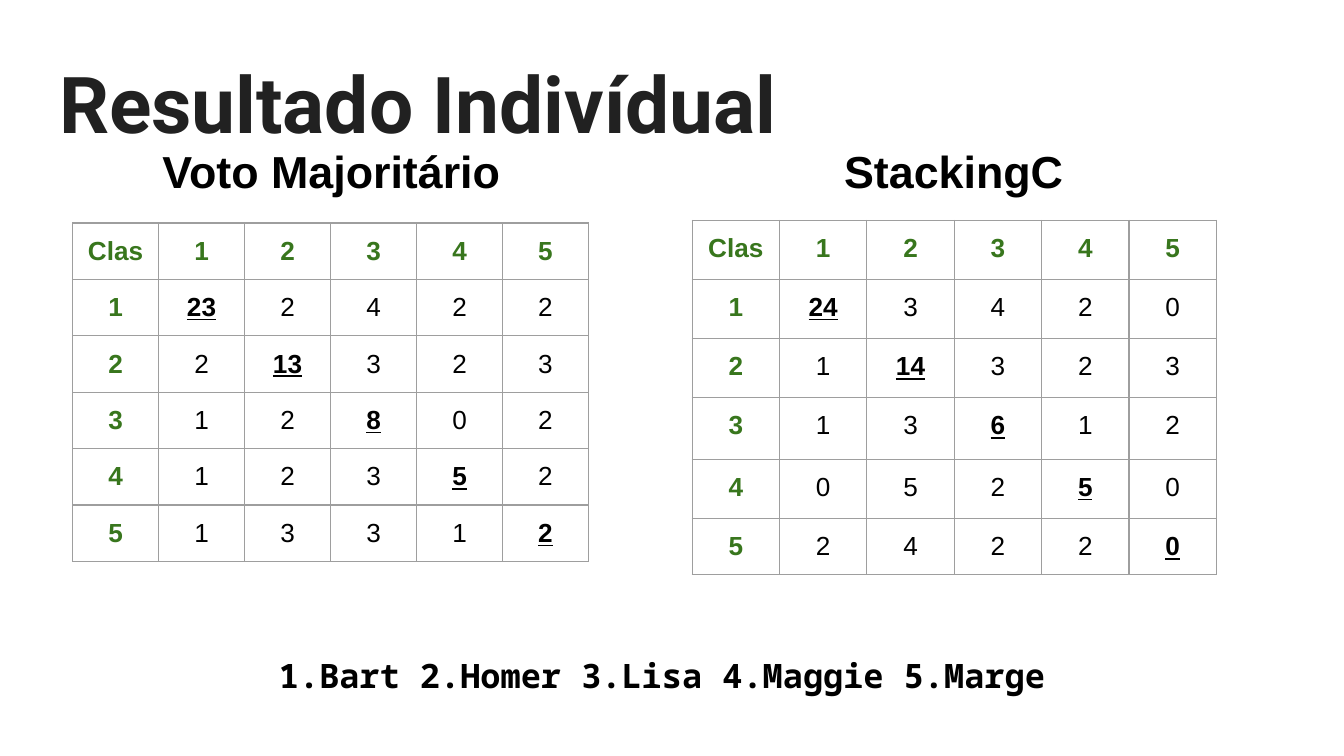
from dataclasses import dataclass

from lxml import etree
from pptx import Presentation
from pptx.dml.color import RGBColor
from pptx.enum.text import MSO_ANCHOR, PP_ALIGN
from pptx.oxml.ns import qn
from pptx.util import Inches, Pt

LEFT, CENTER = PP_ALIGN.LEFT, PP_ALIGN.CENTER
TOP, MIDDLE = MSO_ANCHOR.TOP, MSO_ANCHOR.MIDDLE
TITLE_ONLY = 5
SLIDE_WIDTH = Inches(10)
SLIDE_HEIGHT = SLIDE_WIDTH * 9 // 16


@dataclass(frozen=True)
class Theme:
    title_font: str = "Roboto"
    table_font: str = "Arial"
    legend_font: str = "Noto Sans Mono"
    title_size: int = 42
    heading_size: int = 24
    legend_size: int = 18
    cell_size: int = 14
    title_color: str = "212121"
    text_color: str = "000000"
    label_color: str = "38761D"
    border_color: str = "9E9E9E"
    border_width: float = 0.75
    inset: float = 0.1
    cell_bottom_inset: float = 0.08


THEME = Theme()

CLASSES = [1, 2, 3, 4, 5]
MAJORITY_VOTE = [
    [23, 2, 4, 2, 2],
    [2, 13, 3, 2, 3],
    [1, 2, 8, 0, 2],
    [1, 2, 3, 5, 2],
    [1, 3, 3, 1, 2],
]
STACKING = [
    [24, 3, 4, 2, 0],
    [1, 14, 3, 2, 3],
    [1, 3, 6, 1, 2],
    [0, 5, 2, 5, 0],
    [2, 4, 2, 2, 0],
]


def set_attributes(target, values):
    for name, value in values.items():
        setattr(target, name, value)


def set_insets(target):
    sides = ("left", "right", "top", "bottom")
    set_attributes(target, {f"margin_{side}": Inches(THEME.inset) for side in sides})


def write_text(frame, text, font, size, color, align=CENTER, bold=True, underline=False):
    paragraph = frame.paragraphs[0]
    paragraph.alignment = align
    run = paragraph.add_run()
    run.text = text
    set_attributes(run.font, {"name": font, "size": Pt(size), "bold": bold, "underline": underline})
    run.font.color.rgb = RGBColor.from_string(color)
    return paragraph


def format_frame(frame, anchor):
    set_attributes(frame, {"word_wrap": True, "vertical_anchor": anchor})
    set_insets(frame)


def add_title(slide, text, box):
    title = slide.shapes.title
    set_attributes(title, dict(zip(("left", "top", "width", "height"), map(Inches, box))))
    format_frame(title.text_frame, MIDDLE)
    write_text(title.text_frame, text, THEME.title_font, THEME.title_size,
               THEME.title_color, align=LEFT)


def add_text(slide, text, box, font, size):
    frame = slide.shapes.add_textbox(*map(Inches, box)).text_frame
    format_frame(frame, TOP)
    return write_text(frame, text, font, size, THEME.text_color)


def format_cell(cell):
    set_insets(cell)
    set_attributes(cell, {"vertical_anchor": TOP,
                          "margin_bottom": Inches(THEME.cell_bottom_inset)})
    properties = cell._tc.get_or_add_tcPr()
    # Borders come before the fill in the cell properties
    for side in ("lnL", "lnR", "lnT", "lnB"):
        line = etree.SubElement(properties, qn(f"a:{side}"), w=str(Pt(THEME.border_width)))
        fill = etree.SubElement(line, qn("a:solidFill"))
        etree.SubElement(fill, qn("a:srgbClr"), val=THEME.border_color)
    cell.fill.background()


def add_confusion_matrix(slide, counts, left, top, column_width, row_heights):
    rows = [["Clas", *CLASSES]] + [[label, *row] for label, row in zip(CLASSES, counts)]
    size = len(rows)
    frame = slide.shapes.add_table(size, size, Inches(left), Inches(top),
                                   Inches(column_width * size), Inches(sum(row_heights)))
    table = frame.table
    set_attributes(table, {"first_row": False, "horz_banding": False})
    for column in table.columns:
        column.width = Inches(column_width)
    for row, height in zip(table.rows, row_heights):
        row.height = Inches(height)
    for i, values in enumerate(rows):
        for j, value in enumerate(values):
            cell = table.cell(i, j)
            format_cell(cell)
            label = i == 0 or j == 0
            hit = i == j and not label
            write_text(cell.text_frame, str(value), THEME.table_font, THEME.cell_size,
                       THEME.label_color if label else THEME.text_color,
                       bold=label or hit, underline=hit)


def main():
    presentation = Presentation()
    set_attributes(presentation, {"slide_width": SLIDE_WIDTH, "slide_height": SLIDE_HEIGHT})
    slide = presentation.slides.add_slide(presentation.slide_layouts[TITLE_ONLY])

    add_title(slide, "Resultado Indivídual", (0.34, 0.32, 9.32, 0.88))

    # Class legend
    legend = add_text(slide, "1.Bart 2.Homer 3.Lisa 4.Maggie 5.Marge ", (0, 4.73, 10, 0.59),
                      THEME.legend_font, THEME.legend_size)
    set_attributes(legend, {"line_spacing": 1.15, "space_after": Pt(16)})

    # Confusion matrices
    add_confusion_matrix(slide, MAJORITY_VOTE, 0.54, 1.66, 0.64, [0.42] * 6)
    add_confusion_matrix(slide, STACKING, 5.15, 1.64, 0.65,
                         [0.44, 0.44, 0.44, 0.46, 0.44, 0.41])

    # Headings above the matrices
    for text, left, width in (("Voto Majoritário", 0.54, 3.85), ("StackingC", 5.85, 2.49)):
        add_text(slide, text, (left, 0.97, width, 0.59), THEME.table_font, THEME.heading_size)

    presentation.save("out.pptx")


if __name__ == "__main__":
    main()
